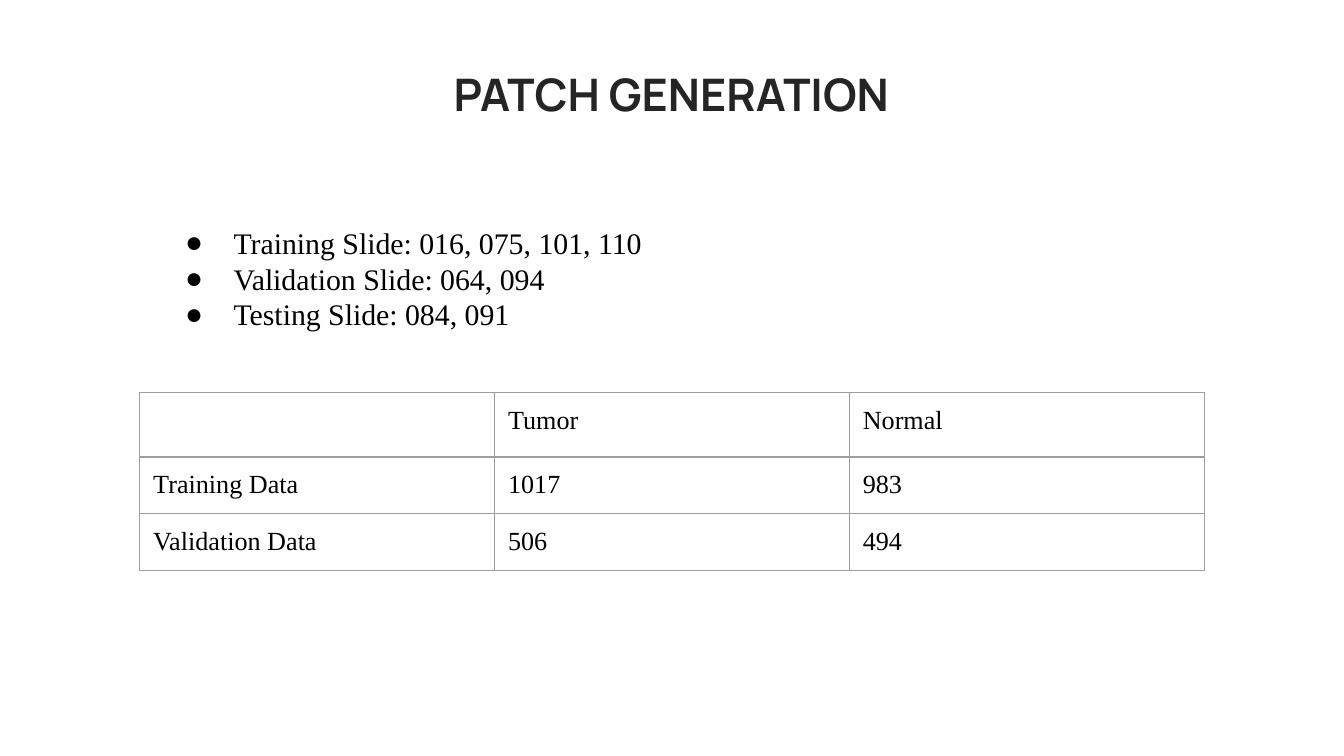
from lxml import etree
from pptx import Presentation, util as u
from pptx.dml.color import RGBColor
from pptx.enum import text
from pptx.oxml.ns import qn

WIDTH = u.Inches(10)
HEIGHT = WIDTH * 9 // 16
INSET = u.Inches(0.1)
SERIF = "Times New Roman"


def color(value):
    return RGBColor.from_string(value)


def add_text(para, words, size, font=SERIF, shade="000000", bold=False):
    span = para.add_run()
    span.text = words
    span.font.name, span.font.size, span.font.bold = font, u.Pt(size), bold
    span.font.color.rgb = color(shade)


deck = Presentation()
deck.slide_width, deck.slide_height = WIDTH, HEIGHT
page = deck.slides.add_slide(deck.slide_layouts[6])

# Text boxes for the title and the list
frames = []
for left, top, width, height in [(1.33, 0.3, 7.33, 0.7), (1.14, 1.57, 4.56, 0.53)]:
    box = page.shapes.add_textbox(*map(u.Inches, (left, top, width, height)))
    frame = box.text_frame
    frame.word_wrap = True
    frame.margin_left = frame.margin_right = INSET
    frame.margin_top = frame.margin_bottom = INSET
    frames.append(frame)
title, listing = frames

# Title
title.vertical_anchor = text.MSO_ANCHOR.BOTTOM
title.paragraphs[0].alignment = text.PP_ALIGN.CENTER
add_text(title.paragraphs[0], "PATCH GENERATION", 24, "Manrope", "252525", True)

# Bulleted list of slides
items = ["Training Slide: 016, 075, 101, 110",
         "Validation Slide: 064, 094",
         "Testing Slide: 084, 091"]
for index, item in enumerate(items):
    para = listing.add_paragraph() if index else listing.paragraphs[0]
    props = para._p.get_or_add_pPr()
    props.set("marL", str(u.Inches(0.5)))
    props.set("indent", str(u.Inches(-0.36)))
    tint = etree.SubElement(props, qn("a:buClr"))
    etree.SubElement(tint, qn("a:srgbClr"), val="000000")
    etree.SubElement(props, qn("a:buFont"), typeface=SERIF)
    etree.SubElement(props, qn("a:buChar"), char="●")
    add_text(para, item, 16)

# Table of patch counts
rows = [["", "Tumor", "Normal"],
        ["Training Data", "1017", "983"],
        ["Validation Data", "506", "494"]]
row_heights = [0.48, 0.42, 0.42]
column = u.Inches(2.64)
table = page.shapes.add_table(
    len(rows), len(rows[0]), u.Inches(1.04), u.Inches(2.92),
    column * len(rows[0]), u.Inches(sum(row_heights))).table
table.first_row = table.horz_banding = False
for col in table.columns:
    col.width = column
for row, height, values in zip(table.rows, row_heights, rows):
    row.height = u.Inches(height)
    for cell, value in zip(row.cells, values):
        cell.margin_left = cell.margin_right = cell.margin_top = INSET
        cell.margin_bottom = u.Inches(0.09)
        para = cell.text_frame.paragraphs[0]
        if value:
            add_text(para, value, 14)
        else:
            etree.SubElement(para._p, qn("a:endParaRPr"), sz="1400")
        # Thin grey borders, placed ahead of the empty fill
        props = cell._tc.get_or_add_tcPr()
        for side in ("lnL", "lnR", "lnT", "lnB"):
            line = etree.SubElement(props, qn("a:" + side), w=str(u.Pt(0.75)))
            fill = etree.SubElement(line, qn("a:solidFill"))
            etree.SubElement(fill, qn("a:srgbClr"), val="9E9E9E")
        cell.fill.background()

deck.save("out.pptx")
